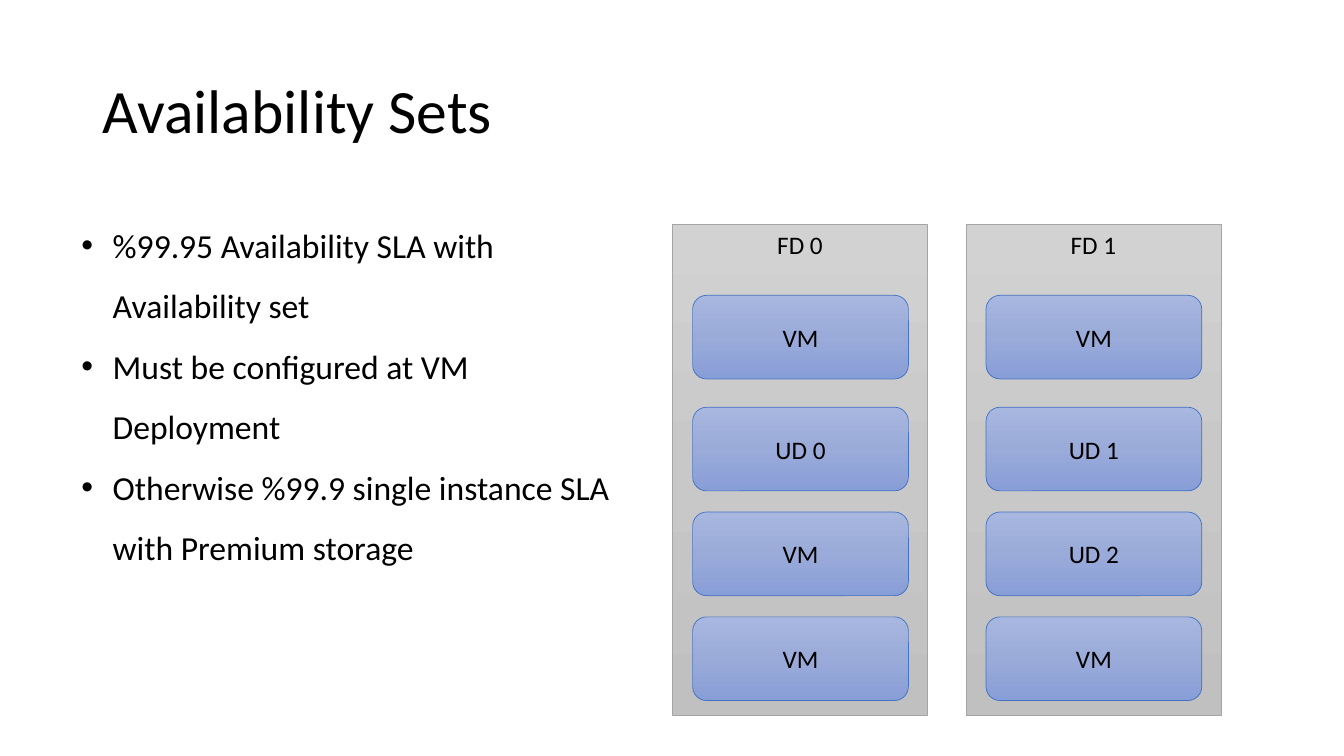
"""Build the availability sets slide."""
from copy import deepcopy

from lxml import etree
from pptx import Presentation
from pptx.dml.color import RGBColor
from pptx.enum import shapes, text
from pptx.oxml import ns
from pptx.util import Inches, Pt

FONT = "Calibri"
BLACK = RGBColor(0x00, 0x00, 0x00)
GREY = RGBColor(0xA5, 0xA5, 0xA5)
BLUE = RGBColor(0x44, 0x72, 0xC4)
GREYS = [RGBColor(0xD2, 0xD2, 0xD2), RGBColor(0xC8, 0xC8, 0xC8), RGBColor(0xC0, 0xC0, 0xC0)]
BLUES = [RGBColor(0xA8, 0xB7, 0xDF), RGBColor(0x9A, 0xAB, 0xD9), RGBColor(0x88, 0x9E, 0xD7)]

ROWS = [2.93, 4.04, 5.08, 6.12]
DOMAINS = [
    (6.67, "FD 0", ["VM", "UD 0", "VM", "VM"]),
    (9.58, "FD 1", ["VM", "UD 1", "UD 2", "VM"]),
]
POINTS = [
    "%99.95 Availability SLA with Availability set",
    "Must be configured at VM Deployment",
    "Otherwise %99.9 single instance SLA with Premium storage",
]


def add_run(para, words, size):
    run = para.add_run()
    run.text = words
    run.font.name = FONT
    run.font.size = Pt(size)
    run.font.color.rgb = BLACK


def shade(fill, stops):
    fill.gradient()
    fill.gradient_angle = 270
    first = fill._xPr.find(".//" + ns.qn("a:gs"))
    first.addnext(deepcopy(first))
    for i, (stop, color) in enumerate(zip(fill.gradient_stops, stops)):
        stop.color.rgb = color
        stop.position = i / 2


def add_box(slide, kind, at, words, stops, edge, anchor):
    box = slide.shapes.add_shape(kind, *map(Inches, at))
    box.shadow.inherit = False
    shade(box.fill, stops)
    box.line.color.rgb = edge
    box.line.width = Pt(0.5)
    frame = box.text_frame
    frame.vertical_anchor = anchor
    para = frame.paragraphs[0]
    para.alignment = text.PP_ALIGN.CENTER
    add_run(para, words, 18)


def add_domain(slide, left, name, units):
    add_box(slide, shapes.MSO_SHAPE.RECTANGLE, (left, 2.23, 2.53, 4.87),
            name, GREYS, GREY, text.MSO_ANCHOR.TOP)
    for top, unit in zip(ROWS, units):
        add_box(slide, shapes.MSO_SHAPE.ROUNDED_RECTANGLE, (left + 0.2, top, 2.14, 0.83),
                unit, BLUES, BLUE, text.MSO_ANCHOR.MIDDLE)


def set_title(slide, words):
    title = slide.shapes.title
    title.left, title.top = Inches(0.92), Inches(0.4)
    title.width, title.height = Inches(11.5), Inches(1.45)
    title.text_frame.vertical_anchor = text.MSO_ANCHOR.MIDDLE
    para = title.text_frame.paragraphs[0]
    para.alignment = text.PP_ALIGN.LEFT
    para.line_spacing = 0.9
    add_run(para, words, 44)


def add_bullet(para):
    props = para._p.get_or_add_pPr()
    props.set("marL", str(Inches(0.31)))
    props.set("indent", str(-Inches(0.31)))
    etree.SubElement(props, ns.qn("a:buFont"), typeface="Arial")
    etree.SubElement(props, ns.qn("a:buChar"), char="•")


def add_list(slide, points):
    box = slide.shapes.add_textbox(Inches(0.71), Inches(1.98), Inches(5.68), Inches(3.67))
    frame = box.text_frame
    frame.word_wrap = True
    frame.auto_size = text.MSO_AUTO_SIZE.SHAPE_TO_FIT_TEXT
    for i, point in enumerate(points):
        para = frame.add_paragraph() if i else frame.paragraphs[0]
        para.line_spacing = 1.5
        add_bullet(para)
        add_run(para, point, 24)


def main():
    deck = Presentation()
    deck.slide_width, deck.slide_height = Inches(13.33), Inches(7.5)
    slide = deck.slides.add_slide(deck.slide_layouts[5])
    set_title(slide, "Availability Sets")
    for left, name, units in DOMAINS:
        add_domain(slide, left, name, units)
    add_list(slide, POINTS)
    deck.save("out.pptx")


if __name__ == "__main__":
    main()
